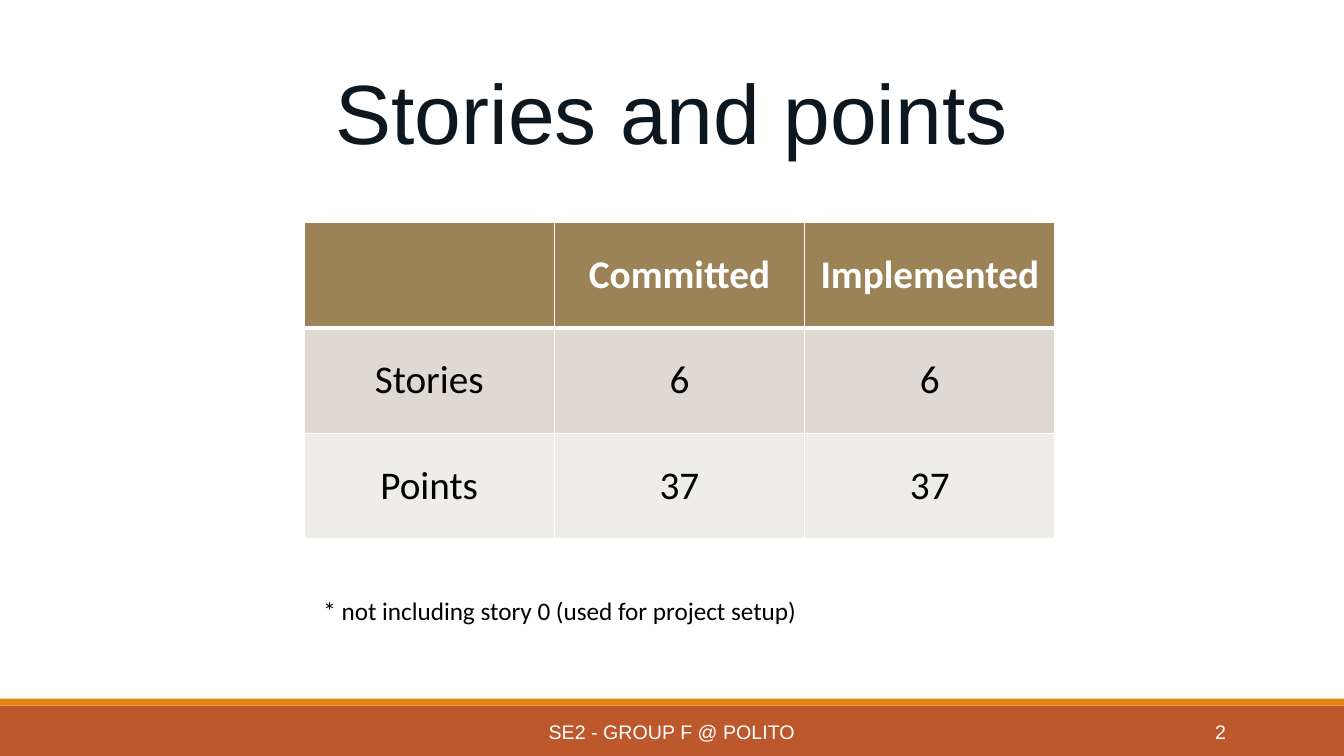
from lxml.etree import SubElement
from pptx import Presentation
from pptx.dml.color import RGBColor as RGB
from pptx.enum.shapes import MSO_SHAPE as Shape
from pptx.enum.text import MSO_ANCHOR as Anchor, PP_ALIGN as Align
from pptx.oxml.ns import qn
from pptx.util import Pt

TITLE = "Stories and points"
SCORES = [
    ("", "Committed", "Implemented"),
    ("Stories", "6", "6"),
    ("Points", "37", "37"),
]
FOOTNOTE = "* not including story 0 (used for project\u00a0setup)".replace("\u00a0", " ")
FOOTER = "SE2 - GROUP F @ POLITO"
PAGE = "2"

THEME = {
    "heading": "Arial", "body": "Calibri",
    "title_size": 60, "table_size": 28, "note_size": 18, "footer_size": 14,
    "ink": "0D171F", "black": "000000", "white": "FFFFFF",
    "band": "BD582C", "stripe": "E48312",
    "rows": ("9B8357", "DED9D1", "EFEDEA"),
}

SLIDE_W, SLIDE_H = 960, 540
BAND_H, STRIPE_H = 36, 5
BAND_TOP = SLIDE_H - BAND_H
FOOTER_TOP, FOOTER_H = 508.3, 28.8
TABLE_LEFT, TABLE_TOP = 217.2, 158.8
COL_W, ROW_H = 178.8, 75.3


def write(frame, words, size, font, color, align, bold=False):
    frame.text = words
    line = frame.paragraphs[0]
    line.alignment = align
    for run in line.runs:
        run.font.size = Pt(size)
        run.font.name = font
        run.font.bold = bold
        run.font.color.rgb = RGB.from_string(color)


def add_label(slide, box, words, size, font, color, align, anchor=Anchor.TOP):
    frame = slide.shapes.add_textbox(*map(Pt, box)).text_frame
    frame.word_wrap = True
    frame.vertical_anchor = anchor
    write(frame, words, size, font, color, align)


def add_bar(slide, top, height, color):
    bar = slide.shapes.add_shape(Shape.RECTANGLE, 0, Pt(top), Pt(SLIDE_W), Pt(height))
    bar.shadow.inherit = False
    bar.fill.solid()
    bar.fill.fore_color.rgb = RGB.from_string(color)
    bar.line.fill.background()


def add_borders(cell, widths):
    props = cell._tc.get_or_add_tcPr()
    for side, width in zip("LRTB", widths):
        edge = SubElement(props, qn(f"a:ln{side}"), w=str(Pt(width)))
        paint = SubElement(edge, qn("a:solidFill"))
        SubElement(paint, qn("a:srgbClr"), val=THEME["white"])


def add_scores(slide):
    rows, cols = len(SCORES), len(SCORES[0])
    table = slide.shapes.add_table(
        rows, cols, Pt(TABLE_LEFT), Pt(TABLE_TOP), Pt(COL_W * cols), Pt(ROW_H * rows)
    ).table
    for column in table.columns:
        column.width = Pt(COL_W)
    for r, entries in enumerate(SCORES):
        table.rows[r].height = Pt(ROW_H)
        header = r == 0
        for c, entry in enumerate(entries):
            cell = table.cell(r, c)
            add_borders(cell, (1, 1, 3 if r == 1 else 1, 3 if header else 1))
            cell.fill.solid()
            cell.fill.fore_color.rgb = RGB.from_string(THEME["rows"][r])
            cell.vertical_anchor = Anchor.MIDDLE
            write(cell.text_frame, entry, THEME["table_size"], THEME["body"],
                  THEME["white"] if header else THEME["black"], Align.CENTER, header)


def main():
    deck = Presentation()
    deck.slide_width, deck.slide_height = Pt(SLIDE_W), Pt(SLIDE_H)
    slide = deck.slides.add_slide(deck.slide_layouts[6])

    add_bar(slide, BAND_TOP, BAND_H, THEME["band"])
    add_bar(slide, BAND_TOP - STRIPE_H, STRIPE_H, THEME["stripe"])
    for left, width, words, align in (
        (290.2, 379.4, FOOTER, Align.CENTER),
        (779.8, 103, PAGE, Align.RIGHT),
    ):
        add_label(slide, (left, FOOTER_TOP, width, FOOTER_H), words,
                  THEME["footer_size"], THEME["heading"], THEME["white"], align, Anchor.MIDDLE)
    add_label(slide, (142.6, 39.6, 674.6, 79.9), TITLE, THEME["title_size"],
              THEME["heading"], THEME["ink"], Align.CENTER)
    add_scores(slide)
    add_label(slide, (223.9, 421.9, 357.8, 28.8), FOOTNOTE, THEME["note_size"],
              THEME["body"], THEME["black"], Align.LEFT)
    deck.save("out.pptx")


if __name__ == "__main__":
    main()
